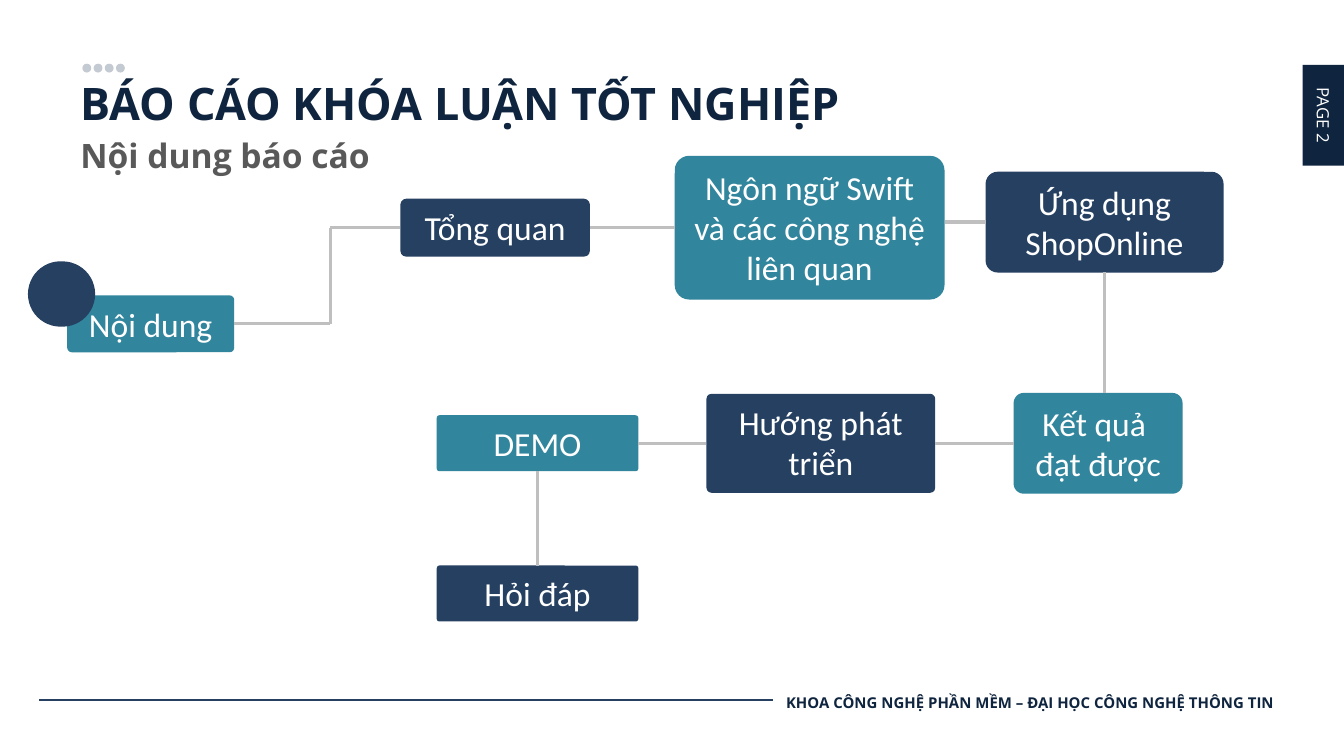
from pptx import Presentation
from pptx.dml.color import RGBColor
from pptx.enum.shapes import MSO_CONNECTOR, MSO_SHAPE
from pptx.enum.text import MSO_ANCHOR, PP_ALIGN
from pptx.oxml.ns import qn
from pptx.util import Pt
from lxml import etree

STRAIGHT = MSO_CONNECTOR.STRAIGHT
RECTANGLE, ROUNDED, OVAL = MSO_SHAPE.RECTANGLE, MSO_SHAPE.ROUNDED_RECTANGLE, MSO_SHAPE.OVAL
TOP, MIDDLE = MSO_ANCHOR.TOP, MSO_ANCHOR.MIDDLE
LEFT, CENTER = PP_ALIGN.LEFT, PP_ALIGN.CENTER
UP_SIDE, LEFT_SIDE, DOWN_SIDE, RIGHT_SIDE = range(4)

COLORS = {
    "ink": "0F243E", "navy": "254061", "teal": "31859C", "gray": "595959",
    "line": "BFBFBF", "dot": "C4CAD1", "white": "FFFFFF",
}


def color(name):
    return RGBColor.from_string(COLORS[name])


def write(shape, text, *, size, ink="white", font="Open Sans", bold=False,
          align=LEFT, anchor=TOP):
    frame = shape.text_frame
    frame.word_wrap = True
    frame.vertical_anchor = anchor
    frame.text = text
    for para in frame.paragraphs:
        para.alignment = align
        para.space_before = Pt(0)
        for span in para.runs:
            span.font.name = font
            span.font.size = Pt(size)
            span.font.bold = bold
            span.font.color.rgb = color(ink)


deck = Presentation()
deck.slide_width, deck.slide_height = Pt(720), Pt(405)
page = deck.slides.add_slide(deck.slide_layouts[5])
shapes = page.shapes

# Title and subtitle
title = shapes.title
title.left, title.top, title.width, title.height = Pt(36), Pt(21), Pt(648), Pt(67.5)
write(title, "BÁO CÁO KHÓA LUẬN TỐT NGHIỆP", size=24, ink="ink", bold=True, anchor=MIDDLE)
subtitle = shapes.add_textbox(Pt(36), Pt(69), Pt(396), Pt(25))
write(subtitle, "Nội dung báo cáo", size=18, ink="gray", bold=True)

# Dots above the title
for index in range(4):
    dot = shapes.add_shape(OVAL, Pt(44.5 + 6 * index), Pt(34.5), Pt(4), Pt(4))
    dot.shadow.inherit = False
    dot.fill.solid()
    dot.fill.fore_color.rgb = color("dot")
    dot.line.color.rgb = color("dot")
    dot.line.width = Pt(0.75)

# Page tab and footer
tab = shapes.add_shape(RECTANGLE, Pt(682), Pt(50.5), Pt(54), Pt(22.5))
tab.rotation = 90
tab.shadow.inherit = False
tab.fill.solid()
tab.fill.fore_color.rgb = color("ink")
tab.line.fill.background()
write(tab, "PAGE 2", size=9, align=CENTER, anchor=MIDDLE)
footer = shapes.add_textbox(Pt(414), Pt(364.5), Pt(276), Pt(24))
write(footer, "KHOA CÔNG NGHỆ PHẦN MỀM – ĐẠI HỌC CÔNG NGHỆ THÔNG TIN",
      size=8, ink="ink", bold=True, anchor=MIDDLE)

# Flow boxes: text, left, middle height, width, height, corner, fill
row_one, row_two = 122, 237.5
steps = {
    "contents": ("Nội dung", 36, 173.5, 89.5, 30.5, 0.08, "teal"),
    "marker": ("", 15, 157.5, 36, 35, 0.5, "navy"),
    "overview": ("Tổng quan", 214.5, row_one, 101.5, 31, 0.1, "navy"),
    "language": ("Ngôn ngữ Swift và các công nghệ liên quan",
                 361.5, row_one, 144.5, 77, 0.1, "teal"),
    "app": ("Ứng dụng ShopOnline", 528, 119, 127.5, 54, 0.12, "navy"),
    "results": ("Kết quả \nđạt được", 543, row_two, 90.5, 54, 0.1, "teal"),
    "future": ("Hướng phát triển", 378.5, row_two, 122.5, 53, 0.05, "navy"),
    "demo": ("DEMO", 234, row_two, 108, 30, 0.05, "teal"),
    "questions": ("Hỏi đáp", 234, 318, 108, 30, 0.05, "navy"),
}
boxes = {}
for name, (text, left, middle, width, height, corner, fill) in steps.items():
    box = shapes.add_shape(ROUNDED, Pt(left), Pt(middle - height / 2), Pt(width), Pt(height))
    box.adjustments[0] = corner
    box.shadow.inherit = False
    box.fill.solid()
    box.fill.fore_color.rgb = color(fill)
    box.line.fill.background()
    if text:
        write(box, text, size=18, font="Calibri", align=CENTER,
              anchor=MIDDLE if name == "contents" else TOP)
    boxes[name] = box

# Lines: start point, end point, joined box and side at each end
elbow = 177
links = [
    ((125.5, 173.5), (elbow, 173.5), ("contents", RIGHT_SIDE), None),
    ((elbow, 173.5), (elbow, row_one), None, None),
    ((elbow, row_one), (214.5, row_one), None, ("overview", LEFT_SIDE)),
    ((316, row_one), (361.5, row_one), ("overview", RIGHT_SIDE), ("language", LEFT_SIDE)),
    ((506, 119), (528, 119), None, ("app", LEFT_SIDE)),
    ((591.75, 146), (591.75, 210.5), ("app", DOWN_SIDE), None),
    ((543, row_two), (501, row_two), ("results", LEFT_SIDE), ("future", RIGHT_SIDE)),
    ((378.5, row_two), (342, row_two), ("future", LEFT_SIDE), ("demo", RIGHT_SIDE)),
    ((288, 252.5), (288, 303), ("demo", DOWN_SIDE), ("questions", UP_SIDE)),
    ((21, 375), (414, 375), None, None),
]
for start, end, source, target in links:
    link = shapes.add_connector(STRAIGHT, *map(Pt, start + end))
    if source:
        link.begin_connect(boxes[source[0]], source[1])
    if target:
        link.end_connect(boxes[target[0]], target[1])
    link.line.color.rgb = color("line")
    link.line.width = Pt(1.75)
    etree.SubElement(link._element.spPr, qn("a:effectLst"))

# The last line is the thin footer rule
link.line.color.rgb = color("navy")
link.line.width = Pt(0.75)

deck.save("out.pptx")
